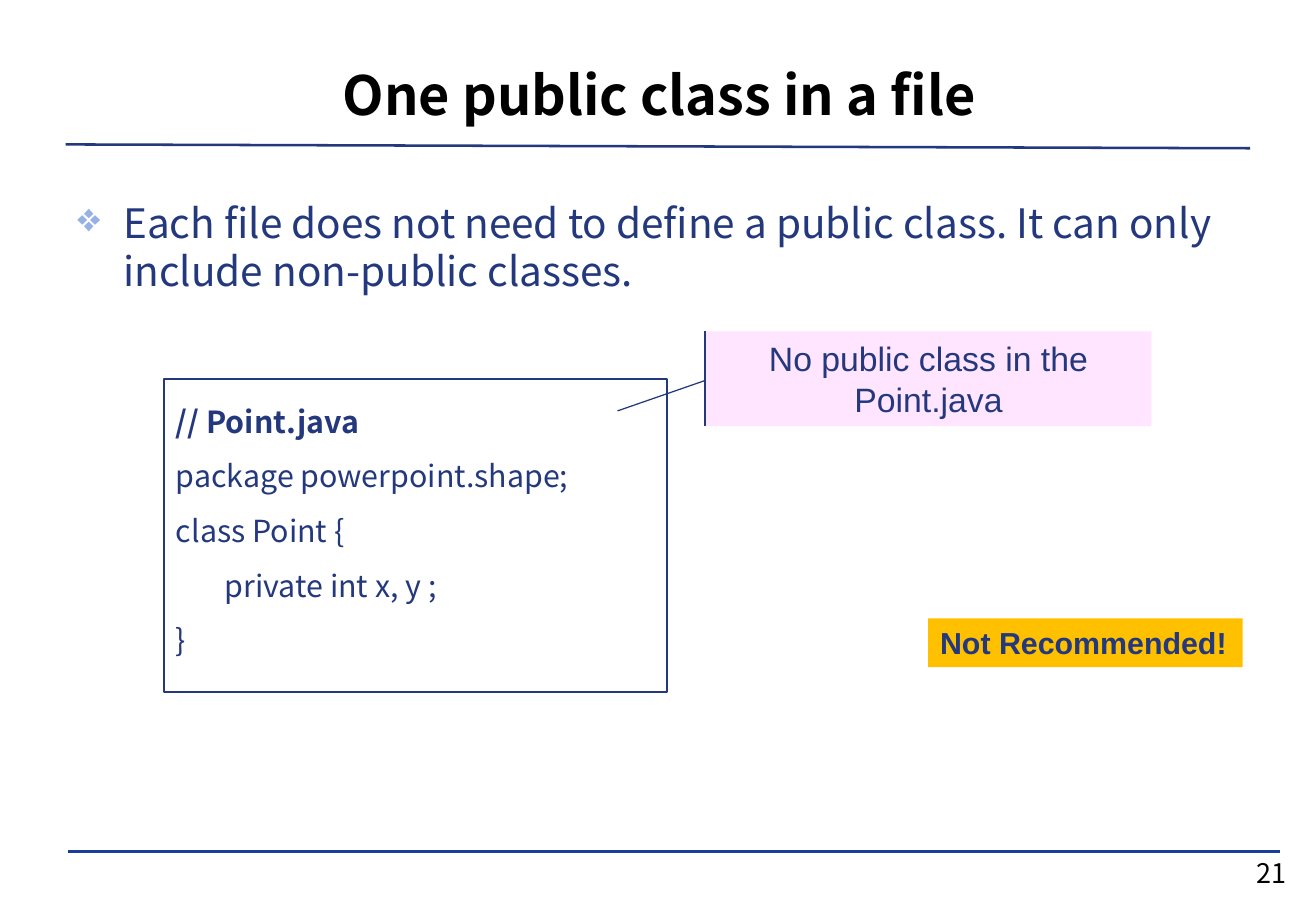
from lxml.etree import SubElement
from pptx import Presentation
from pptx.dml.color import RGBColor
from pptx.enum.shapes import MSO_CONNECTOR, MSO_SHAPE
from pptx.enum.text import MSO_ANCHOR, PP_ALIGN
from pptx.oxml.ns import qn
from pptx.util import Cm, Pt

NAVY = RGBColor(0x23, 0x38, 0x7D)
FOOTER_BLUE = RGBColor(0x1A, 0x3D, 0x97)
BLACK = RGBColor(0, 0, 0)
PINK = RGBColor(0xFF, 0x9B, 0xFF)
AMBER = RGBColor(0xFF, 0xC0, 0x00)
BULLET_BLUE = RGBColor(0x96, 0xB1, 0xE6)
SANS, ARIAL = "Noto Sans CJK KR", "Arial"

TITLE = "One public class in a file"
POINT = "Each file does not need to define a public class. It can only include non-public classes."
CODE = ["// Point.java", "package powerpoint.shape;", "class Point {", "\tprivate int x, y ;", "}"]
CALLOUT = "No public class in the Point.java"
WARNING = "Not Recommended!"
PAGE_NUMBER = "21"

# start x, start y, end x, end y in cm; colour; width in points
RULES = [
    (1.42, 17.8, 26.77, 17.8, FOOTER_BLUE, 0),
    (1.37, 3.02, 26.14, 3.1, NAVY, 1.5),
]
CALLOUT_POINTS = (0.52, -0.002, 0.84, -0.198)
CALLOUT_OPACITY = 26
BULLET_INDENT = Cm(0.96)
CODE_TAB = Cm(1.02)


def add_rule(page, x1, y1, x2, y2, color, width):
    rule = page.shapes.add_connector(MSO_CONNECTOR.STRAIGHT, Cm(x1), Cm(y1), Cm(x2), Cm(y2))
    rule.line.color.rgb = color
    rule.line.width = Pt(width)
    SubElement(rule._element.spPr, qn("a:effectLst"))


def add_box(page, left, top, width, height, anchor=MSO_ANCHOR.TOP):
    box = page.shapes.add_textbox(Cm(left), Cm(top), Cm(width), Cm(height))
    box.text_frame.word_wrap = True
    box.text_frame.vertical_anchor = anchor
    return box


def add_panel(page, preset, left, top, width, height, fill=None, line_width=None):
    panel = page.shapes.add_shape(preset, Cm(left), Cm(top), Cm(width), Cm(height))
    panel.shadow.inherit = False
    if fill is None:
        panel.fill.background()
    else:
        panel.fill.solid()
        panel.fill.fore_color.rgb = fill
    if line_width is None:
        panel.line.fill.background()
    else:
        panel.line.color.rgb = NAVY
        panel.line.width = Pt(line_width)
    panel.text_frame.vertical_anchor = MSO_ANCHOR.TOP
    return panel


def write(para, text, size, name=SANS, color=NAVY, bold=False, align=PP_ALIGN.LEFT):
    para.alignment = align
    span = para.add_run()
    span.text = text
    font = span.font
    font.size, font.name, font.bold = Pt(size), name, bold
    font.color.rgb = color


def add_bullet(para):
    properties = para._p.get_or_add_pPr()
    properties.set("marL", str(BULLET_INDENT))
    properties.set("indent", str(-BULLET_INDENT))
    color = SubElement(properties, qn("a:buClr"))
    SubElement(color, qn("a:srgbClr"), val=str(BULLET_BLUE))
    SubElement(properties, qn("a:buChar"), char="❖")


def add_tab(para):
    tabs = SubElement(para._p.get_or_add_pPr(), qn("a:tabLst"))
    SubElement(tabs, qn("a:tab"), pos=str(CODE_TAB), algn="l")


def add_code(page):
    frame = add_panel(page, MSO_SHAPE.RECTANGLE, 3.43, 7.92, 10.52, 6.55, line_width=1).text_frame
    for index, line in enumerate(CODE):
        para = frame.add_paragraph() if index else frame.paragraphs[0]
        para.line_spacing = 1.5
        if line.startswith("\t"):
            add_tab(para)
        write(para, line, 18, bold=index == 0)


def add_callout(page):
    callout = add_panel(page, MSO_SHAPE.LINE_CALLOUT_1_ACCENT_BAR, 14.76, 6.93, 9.32, 1.98, PINK, 0.75)
    for index, value in enumerate(CALLOUT_POINTS):
        callout.adjustments[index] = value
    fill_color = callout._element.spPr.find(qn("a:solidFill")).find(qn("a:srgbClr"))
    SubElement(fill_color, qn("a:alpha"), val=str(CALLOUT_OPACITY * 1000))
    callout.text_frame.vertical_anchor = MSO_ANCHOR.MIDDLE
    write(callout.text_frame.paragraphs[0], CALLOUT, 20, ARIAL, align=PP_ALIGN.CENTER)


def main():
    deck = Presentation()
    deck.slide_width, deck.slide_height = Cm(27.52), Cm(19.05)
    page = deck.slides.add_slide(deck.slide_layouts[6])

    for rule in RULES:
        add_rule(page, *rule)

    number = add_box(page, 25.96, 17.91, 1.27, 0.69, MSO_ANCHOR.MIDDLE).text_frame
    number.margin_left = number.margin_right = number.margin_top = number.margin_bottom = 0
    write(number.paragraphs[0], PAGE_NUMBER, 16, color=BLACK, align=PP_ALIGN.CENTER)

    title = add_box(page, 1.42, 0.89, 24.74, 2.13, MSO_ANCHOR.MIDDLE)
    write(title.text_frame.paragraphs[0], TITLE, 32, color=BLACK, bold=True, align=PP_ALIGN.CENTER)

    body = add_box(page, 1.37, 4.01, 24.77, 2.51).text_frame.paragraphs[0]
    add_bullet(body)
    write(body, POINT, 24)

    add_code(page)
    add_callout(page)

    warning = add_panel(page, MSO_SHAPE.RECTANGLE, 19.41, 12.93, 6.58, 1.02, AMBER)
    warning.text_frame.word_wrap = False
    write(warning.text_frame.paragraphs[0], WARNING, 18, ARIAL, bold=True)

    deck.save("out.pptx")


if __name__ == "__main__":
    main()
